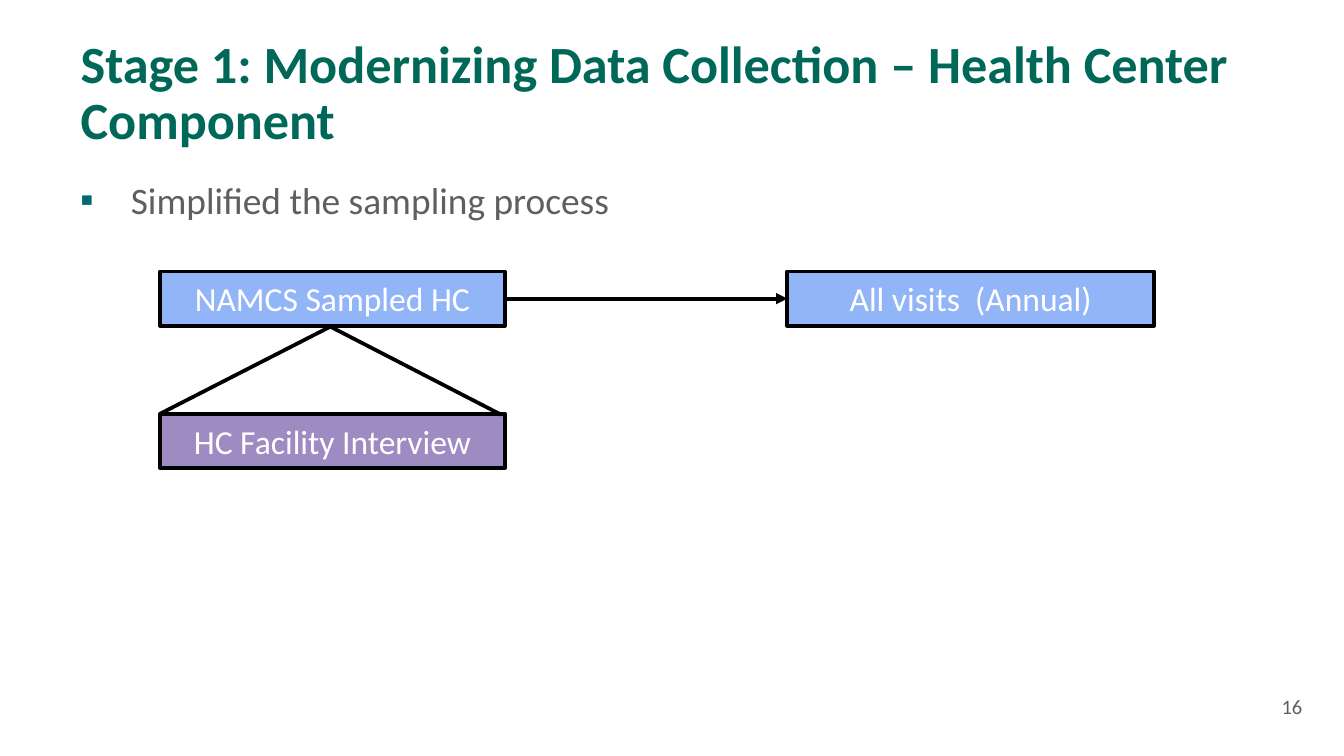
from pptx import Presentation
from pptx.dml.color import RGBColor
from pptx.enum.shapes import MSO_CONNECTOR as Conn, MSO_SHAPE as Shape
from pptx.enum.text import MSO_ANCHOR as Anchor, PP_ALIGN as Align
from pptx.oxml.ns import qn
from pptx.util import Pt
from lxml.etree import SubElement as Sub

BLACK, WHITE, GREY = "000000", "FFFFFF", "5F5F5F"
GREEN, TEAL, BLUE, PURPLE = "006858", "006A71", "92B5F7", "9E8BC1"


def tint(code):
    """Turn a hex string into a colour."""
    return RGBColor.from_string(code)


def put(item, form):
    """Set attributes from a dict of format values."""
    for name, value in form.items():
        setattr(item, name, value)


def place(shape, left, top, wide, high):
    """Move and size a shape in points."""
    put(shape, {"left": Pt(left), "top": Pt(top),
                "width": Pt(wide), "height": Pt(high)})


def write(shape, text, size, color, anchor=Anchor.TOP, bold=False, **form):
    """Fill a shape with one formatted paragraph."""
    frame = shape.text_frame
    put(frame, {"word_wrap": True, "vertical_anchor": anchor})
    para = frame.paragraphs[0]
    para.text = text
    put(para, form)
    put(para.runs[0].font, {"name": "Calibri", "size": Pt(size), "bold": bold})
    para.runs[0].font.color.rgb = tint(color)
    return para


def stroke(line):
    """Give a line its black two-point look."""
    line.color.rgb = tint(BLACK)
    line.width = Pt(2)


def add_text(slide, spot, text, size, color):
    """Add a text box with one paragraph."""
    box = slide.shapes.add_textbox(*map(Pt, spot))
    return write(box, text, size, color)


def add_bullet(para, mark, color, indent):
    """Give a paragraph a hanging bullet."""
    props = para._p.get_or_add_pPr()
    props.set("marL", str(Pt(indent)))
    props.set("indent", str(-Pt(indent)))
    Sub(Sub(props, qn("a:buClr")), qn("a:srgbClr"), val=color)
    Sub(props, qn("a:buFont"), typeface="Calibri")
    Sub(props, qn("a:buChar"), char=mark)


def add_box(slide, spot, text, fill):
    """Add a filled and outlined box with a centred label."""
    box = slide.shapes.add_shape(Shape.RECTANGLE, *map(Pt, spot))
    box.shadow.inherit = False
    box.fill.solid()
    box.fill.fore_color.rgb = tint(fill)
    stroke(box.line)
    write(box, text, 18, WHITE, alignment=Align.CENTER)


def add_line(slide, start, end, arrow=False):
    """Add a straight line, with an arrowhead if wanted."""
    link = slide.shapes.add_connector(Conn.STRAIGHT, *map(Pt, start + end))
    stroke(link.line)
    if arrow:
        Sub(link.line._get_or_add_ln(), qn("a:tailEnd"), type="triangle")
    Sub(link._element.spPr, qn("a:effectLst"))


def main():
    """Build the slide and save it."""
    deck = Presentation()
    put(deck, {"slide_width": Pt(720), "slide_height": Pt(405)})
    slide = deck.slides.add_slide(deck.slide_layouts[5])

    title = slide.shapes.title
    place(title, 36, 16.5, 648, 67.5)
    write(title, "Stage 1: Modernizing Data Collection – Health Center Component",
          28, GREEN, Anchor.BOTTOM, True, alignment=Align.LEFT,
          line_spacing=Pt(30))
    para = add_text(slide, (36, 91.5, 648, 263),
                    "Simplified the sampling process", 20, GREY)
    add_bullet(para, "▪", TEAL, 27)
    add_text(slide, (679.5, 368.5, 30, 21), "16", 11, GREY)

    left, wide, high = 85.7, 185, 29
    top, low, far = 145.5, 221.7, 421.8
    right, base, mid = left + wide, top + high, top + high / 2
    add_box(slide, (left, top, wide, high), "NAMCS Sampled HC", BLUE)
    add_box(slide, (left, low, wide, high), "HC Facility Interview", PURPLE)
    add_box(slide, (far, top, 196.6, high), "All visits  (Annual)", BLUE)
    add_line(slide, (176, base), (268.5, low + 0.5))
    add_line(slide, (178, base), (left, low))
    add_line(slide, (right, mid), (far, mid), arrow=True)

    deck.save("out.pptx")


if __name__ == "__main__":
    main()
